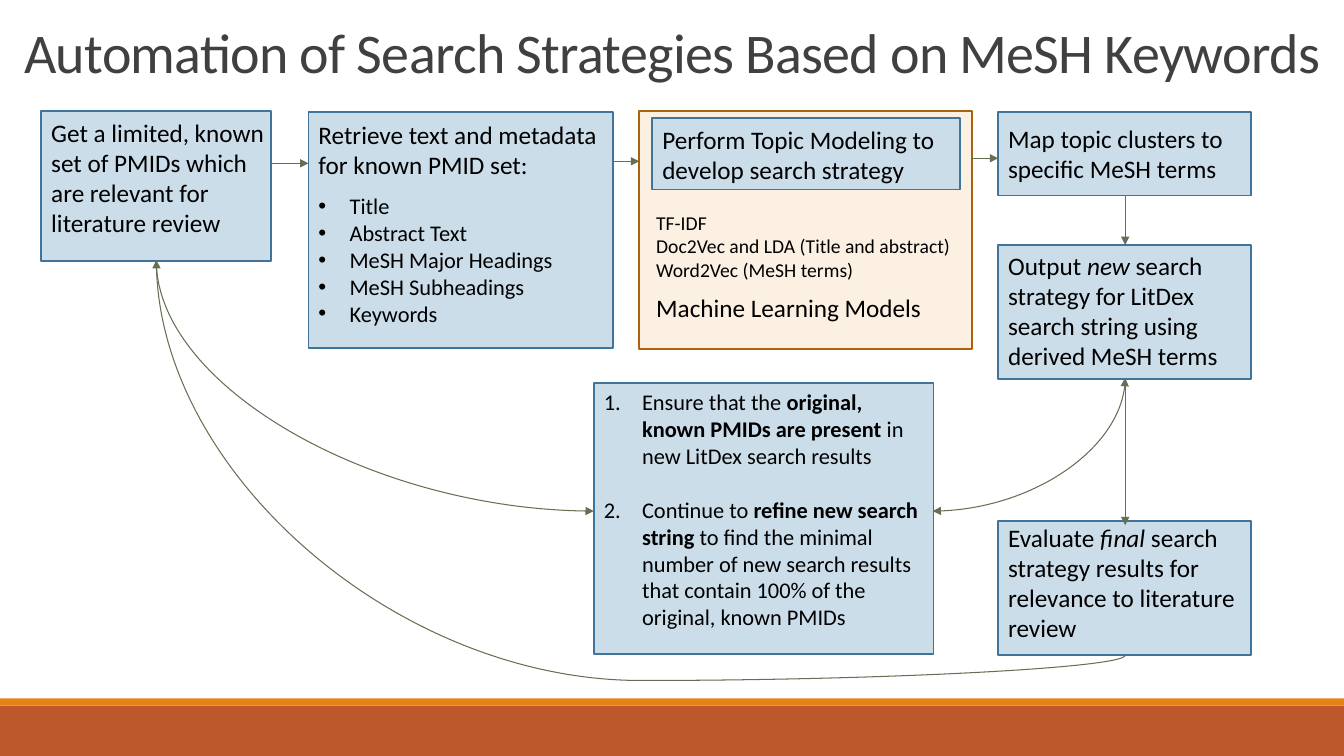
from dataclasses import dataclass

from lxml import etree
from pptx import Presentation
from pptx.dml.color import RGBColor
from pptx.enum.shapes import MSO_CONNECTOR, MSO_SHAPE
from pptx.enum.text import MSO_ANCHOR, PP_ALIGN
from pptx.oxml.ns import qn
from pptx.slide import Slide
from pptx.util import Inches, Pt

RECT = MSO_SHAPE.RECTANGLE
LINE = MSO_CONNECTOR.STRAIGHT
CURVE = MSO_CONNECTOR.CURVE
TOP = MSO_ANCHOR.TOP
LEFT = PP_ALIGN.LEFT
FONT = "Calibri"
COLORS = {
    "blue": "CCDDEA",
    "navy": "40749B",
    "cream": "FBE6CE",
    "brown": "AB620D",
    "rust": "BD582C",
    "orange": "E48312",
    "olive": "637052",
    "black": "000000",
    "gray": "404040",
}
Box = tuple[float, float, float, float]
Point = tuple[float, float]


@dataclass
class Panel:
    box: Box
    fill: str = "blue"
    edge: str | None = "navy"
    alpha: int = 100


@dataclass
class Note:
    box: Box
    lines: list[list[tuple[str, str]]]
    size: int = 18
    mark: str = ""
    indent: float = 0
    gap: float = 0


@dataclass
class Link:
    start: Point
    end: Point
    form: str = "line"
    head: bool = False
    tail: bool = True
    bend: int = 0


PANELS = [
    Panel((0, 7, 13.33, 0.5), "rust", None),
    Panel((0, 6.93, 13.33, 0.07), "orange", None),
    Panel((6.34, 1.1, 3.3, 2.36), "cream", "brown", 57),
    Panel((0.41, 1.1, 2.28, 1.49)),
    Panel((6.47, 1.17, 3.05, 0.71)),
    Panel((9.9, 1.11, 2.51, 0.83)),
    Panel((3.06, 1.11, 3.02, 2.34)),
    Panel((5.89, 3.8, 3.37, 2.69)),
    Panel((9.9, 2.43, 2.51, 1.33)),
    Panel((9.9, 5.17, 2.51, 1.33)),
]

NOTES = [
    Note((0.41, 1.11, 2.41, 1.31),
         [[("Get a limited, known set of PMIDs which are relevant for literature review", "")]]),
    Note((6.47, 1.18, 3.05, 0.71), [[("Perform Topic Modeling to develop search strategy", "")]]),
    Note((6.41, 2.85, 3.05, 0.4), [[("Machine Learning Models", "")]]),
    Note((9.9, 1.17, 2.51, 0.71), [[("Map topic clusters to specific MeSH terms", "")]]),
    Note((3.06, 1.13, 3.02, 0.71), [[("Retrieve text and metadata for known PMID set:", "")]]),
    Note((5.89, 3.8, 3.35, 2.52), [
        [("Ensure that the ", ""), ("original, known PMIDs are present ", "bold"),
         ("in new LitDex search results", "")],
        [("Continue to ", ""), ("refine new search string", "bold"),
         (" to find the minimal number of new search results that contain 100% "
          "of the original, known PMIDs", "")],
    ], 16, "buAutoNum", 0.38, 19.5),
    Note((3.06, 1.86, 3.02, 1.45),
         [[(item, "")] for item in ("Title", "Abstract Text", "MeSH Major Headings",
                                    "MeSH Subheadings", "Keywords")],
         16, "buChar", 0.31),
    Note((6.41, 2.04, 3.24, 0.81),
         [[(item, "")] for item in ("TF-IDF", "Doc2Vec and LDA (Title and abstract)",
                                    "Word2Vec (MeSH terms)")], 14),
    Note((9.9, 2.43, 2.51, 1.31),
         [[("Output ", ""), ("new", "italic"),
           (" search strategy for LitDex search string using derived MeSH terms", "")]]),
    Note((9.9, 5.13, 2.51, 1.31),
         [[("Evaluate ", ""), ("final", "italic"),
           (" search strategy results for relevance to literature review", "")]]),
]

LINKS = [
    Link((2.69, 1.62), (3.06, 1.62)),
    Link((6.08, 1.6), (6.34, 1.6)),
    Link((9.64, 1.57), (9.9, 1.57)),
    Link((11.16, 1.94), (11.16, 2.43)),
    Link((11.16, 3.75), (11.16, 5.21)),
    Link((1.55, 2.58), (5.89, 5.07), "curvedConnector2"),
    Link((11.16, 3.75), (9.25, 5.07), "curvedConnector2", head=True),
    Link((1.55, 2.58), (11.16, 6.5), "curvedConnector3", head=True, tail=False, bend=106400),
]


def tint(name: str) -> RGBColor:
    return RGBColor.from_string(COLORS[name])


def draw_panel(slide: Slide, panel: Panel) -> None:
    shape = slide.shapes.add_shape(RECT, *map(Inches, panel.box))
    shape.shadow.inherit = False
    shape.fill.solid()
    shape.fill.fore_color.rgb = tint(panel.fill)
    if panel.alpha < 100:
        color = shape._element.spPr.find(qn("a:solidFill")).find(qn("a:srgbClr"))
        etree.SubElement(color, qn("a:alpha"), val=str(panel.alpha * 1000))
    if panel.edge:
        shape.line.color.rgb = tint(panel.edge)
        shape.line.width = Pt(1.25)
    else:
        shape.line.fill.background()


def draw_note(slide: Slide, note: Note) -> None:
    frame = slide.shapes.add_textbox(*map(Inches, note.box)).text_frame
    frame.word_wrap = True
    for index, parts in enumerate(note.lines):
        para = frame.add_paragraph() if index else frame.paragraphs[0]
        if index < len(note.lines) - 1:
            para.space_after = Pt(note.gap)
        for text, style in parts:
            run = para.add_run()
            run.text = text
            run.font.name = FONT
            run.font.size = Pt(note.size)
            run.font.color.rgb = tint("black")
            run.font.bold = style == "bold"
            run.font.italic = style == "italic"
        if note.mark:
            props = para._p.get_or_add_pPr()
            props.set("marL", str(Inches(note.indent)))
            props.set("indent", str(-Inches(note.indent)))
            if note.mark == "buChar":
                etree.SubElement(props, qn("a:buFont"), typeface="Arial")
                etree.SubElement(props, qn("a:buChar"), char="•")
            else:
                etree.SubElement(props, qn("a:buAutoNum"), type="arabicPeriod")


def draw_link(slide: Slide, link: Link) -> None:
    (x1, y1), (x2, y2) = link.start, link.end
    curved = link.form != "line"
    if curved:
        wide, high = y2 - y1, abs(x2 - x1)
        left, top = (x1 + x2 - wide) / 2, (y1 + y2 - high) / 2
        ends = (left, top, left + wide, top + high)
    else:
        ends = (x1, y1, x2, y2)
    shape = slide.shapes.add_connector(CURVE if curved else LINE, *map(Inches, ends))
    shape.line.color.rgb = tint("olive")
    shape.line.width = Pt(0.75)
    props = shape._element.spPr
    if curved:
        frame = props.find(qn("a:xfrm"))
        frame.set("rot", str((270 if x2 > x1 else 90) * 60000))
        if x2 > x1:
            frame.set("flipH", "1")
        form = props.find(qn("a:prstGeom"))
        form.set("prst", link.form)
        if link.bend:
            etree.SubElement(form.find(qn("a:avLst")), qn("a:gd"),
                             name="adj1", fmla=f"val {link.bend}")
    line = props.find(qn("a:ln"))
    for tag, shown in (("a:headEnd", link.head), ("a:tailEnd", link.tail)):
        if shown:
            etree.SubElement(line, qn(tag), type="triangle")
    etree.SubElement(props, qn("a:effectLst"))


def draw_title(slide: Slide) -> None:
    title = slide.shapes.title
    title.left, title.top, title.width, title.height = map(Inches, (0.14, 0.23, 13.19, 0.55))
    frame = title.text_frame
    frame.text = "Automation of Search Strategies Based on MeSH Keywords"
    frame.word_wrap = True
    frame.vertical_anchor = TOP
    para = frame.paragraphs[0]
    para.alignment = LEFT
    para.line_spacing = 0.85
    para.space_before = Pt(0)
    run = para.runs[0]
    run.font.name = FONT
    run.font.size = Pt(40)
    run.font.color.rgb = tint("gray")
    run._r.get_or_add_rPr().set("spc", "-50")


def main() -> None:
    deck = Presentation()
    deck.slide_width, deck.slide_height = Inches(13.33), Inches(7.5)
    slide = deck.slides.add_slide(deck.slide_layouts[5])
    draw_title(slide)
    for panel in PANELS:
        draw_panel(slide, panel)
    for note in NOTES:
        draw_note(slide, note)
    for link in LINKS:
        draw_link(slide, link)
    deck.save("out.pptx")


if __name__ == "__main__":
    main()
